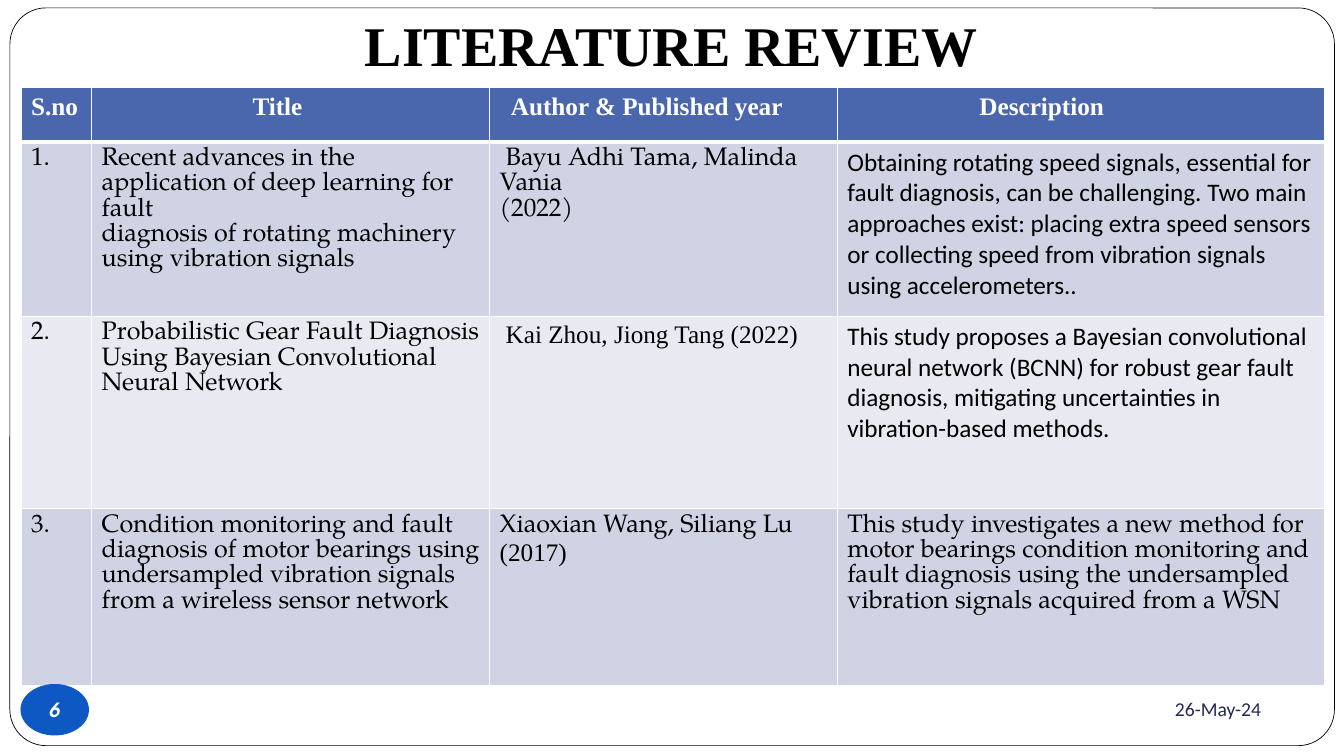
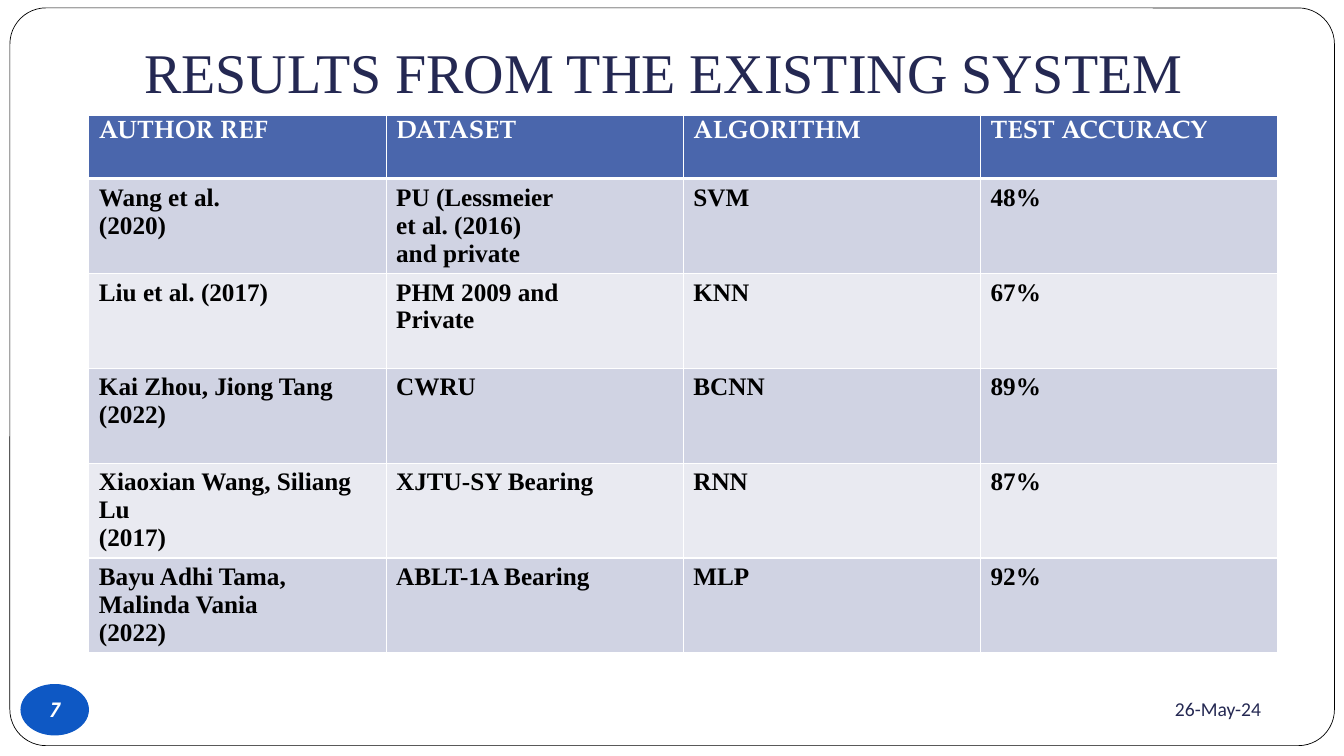
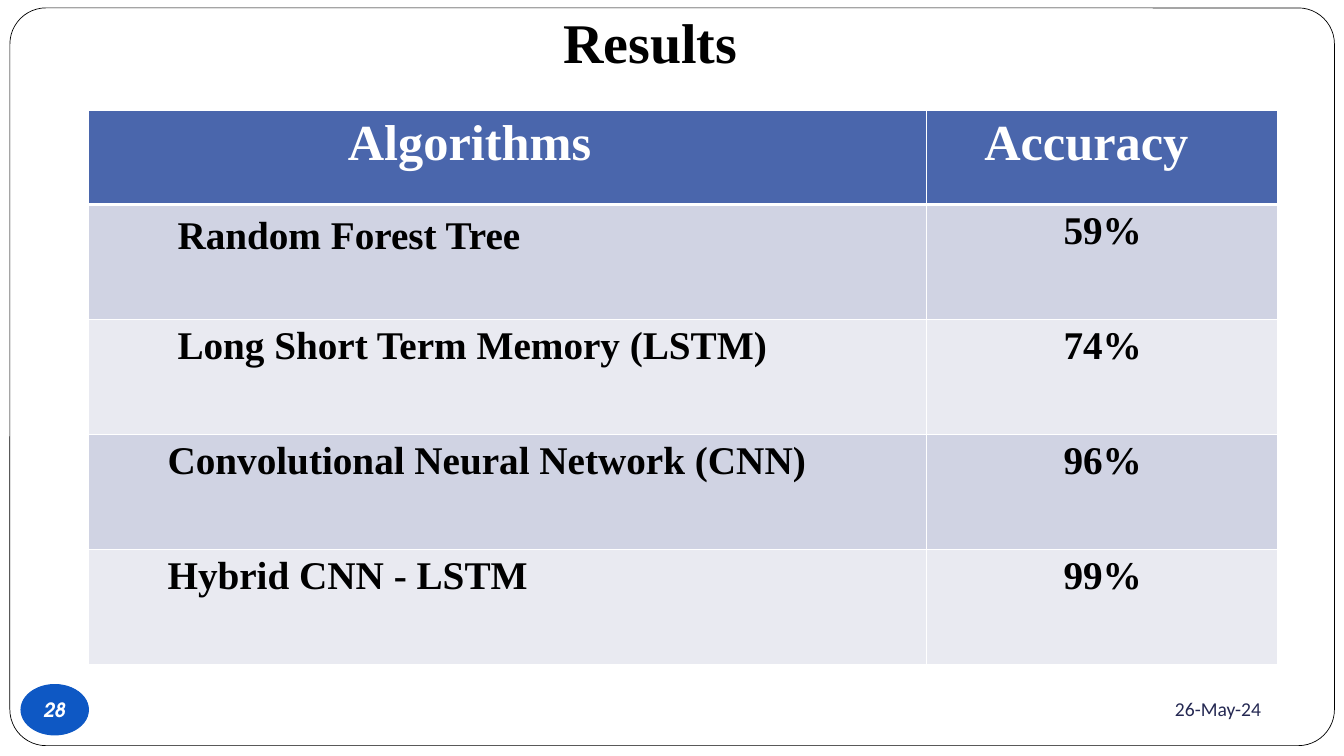
from dataclasses import dataclass

from lxml import etree
from pptx import Presentation
from pptx.dml.color import RGBColor
from pptx.enum.shapes import MSO_SHAPE
from pptx.enum.text import MSO_ANCHOR, MSO_AUTO_SIZE, PP_ALIGN
from pptx.oxml.ns import qn
from pptx.util import Cm, Pt

ROUNDED = MSO_SHAPE.ROUNDED_RECTANGLE
OVAL = MSO_SHAPE.OVAL
MIDDLE = MSO_ANCHOR.MIDDLE
BOTTOM = MSO_ANCHOR.BOTTOM
NO_AUTOFIT = MSO_AUTO_SIZE.NONE
LEFT, CENTER, RIGHT = PP_ALIGN.LEFT, PP_ALIGN.CENTER, PP_ALIGN.RIGHT

COLORS = {
    "white": "FFFFFF",
    "black": "000000",
    "navy": "242852",
    "header": "4A66AC",
    "band_dark": "D0D3E3",
    "band_light": "E9EAF1",
    "badge": "0E58C4",
}
SERIF = "Times New Roman"
PAGELLA = "TeX Gyre Pagella"
SANS = "Calibri"
BADGE_FONT = "TeX Gyre Adventor"
DATE = "26-May-24"
TITLE_ONLY = 5
THIN, THICK = Pt(1), Pt(3)


@dataclass
class Style:
    font: str
    size: float
    color: str = "black"
    bold: bool = False
    italic: bool = False


@dataclass
class Entry:
    text: str
    style: Style
    indent: float = 0
    last_line_font: str = ""
    top_margin: float = 0.13


@dataclass
class Title:
    text: str
    box: tuple[float, float, float, float]
    style: Style
    indent: float = 0
    bottom_margin: float = 0.25


@dataclass
class TableData:
    left: float
    top: float
    widths: list[float]
    heights: list[float]
    rows: list[list[Entry]]


@dataclass
class Page:
    number: str
    title: Title
    table: TableData


def rgb(name: str) -> RGBColor:
    return RGBColor.from_string(COLORS[name])


def format_paragraph(paragraph, style: Style, alignment=LEFT, indent: float = 0) -> None:
    paragraph.alignment = alignment
    if indent:
        properties = paragraph._p.get_or_add_pPr()
        properties.set("marL", "0")
        properties.set("indent", str(Cm(indent)))
    for run in paragraph.runs:
        run.font.name = style.font
        run.font.size = Pt(style.size)
        run.font.bold = style.bold
        run.font.italic = style.italic
        run.font.color.rgb = rgb(style.color)


def add_outlined_shape(slide, preset, box, fill: str, line: str, width: float):
    shape = slide.shapes.add_shape(preset, *map(Cm, box))
    shape.shadow.inherit = False
    shape.fill.solid()
    shape.fill.fore_color.rgb = rgb(fill)
    shape.line.color.rgb = rgb(line)
    shape.line.width = Pt(width)
    return shape


def move_frame_to_layout(slide, layout) -> None:
    frame = add_outlined_shape(slide, ROUNDED, (0.25, 0.2, 33.38, 18.59), "white", "black", 0.5)
    frame.adjustments[0] = 0.049
    layout.shapes.element.insert(2, frame.element)


def set_title(slide, title: Title) -> None:
    shape = slide.shapes.title
    shape.left, shape.top, shape.width, shape.height = map(Cm, title.box)
    text_frame = shape.text_frame
    text_frame.text = title.text
    text_frame.auto_size = NO_AUTOFIT
    text_frame.vertical_anchor = BOTTOM
    text_frame.margin_bottom = Cm(title.bottom_margin)
    format_paragraph(text_frame.paragraphs[0], title.style, LEFT, title.indent)


def set_borders(cell, top: int, bottom: int) -> None:
    properties = cell._tc.get_or_add_tcPr()
    widths = {"a:lnL": THIN, "a:lnR": THIN, "a:lnT": top, "a:lnB": bottom}
    for position, (tag, width) in enumerate(widths.items()):
        line = etree.Element(qn(tag), w=str(int(width)))
        fill = etree.SubElement(line, qn("a:solidFill"))
        etree.SubElement(fill, qn("a:srgbClr"), val=COLORS["white"])
        properties.insert(position, line)


def fill_cell(cell, entry: Entry, row: int) -> None:
    cell.fill.solid()
    band = "band_dark" if row % 2 else "band_light"
    cell.fill.fore_color.rgb = rgb(band if row else "header")
    set_borders(cell, THICK if row == 1 else THIN, THIN if row else THICK)
    cell.margin_top = Cm(entry.top_margin)
    cell.text_frame.text = entry.text
    paragraphs = cell.text_frame.paragraphs
    for index, paragraph in enumerate(paragraphs):
        format_paragraph(paragraph, entry.style, LEFT, 0 if index else entry.indent)
    if entry.last_line_font:
        for run in paragraphs[-1].runs:
            run.font.name = entry.last_line_font


def add_table(slide, data: TableData) -> None:
    table = slide.shapes.add_table(
        len(data.heights), len(data.widths), Cm(data.left), Cm(data.top),
        Cm(sum(data.widths)), Cm(sum(data.heights)),
    ).table
    for column, width in zip(table.columns, data.widths):
        column.width = Cm(width)
    for row, height in zip(table.rows, data.heights):
        row.height = Cm(height)
    for row_index, entries in enumerate(data.rows):
        for column_index, entry in enumerate(entries):
            fill_cell(table.cell(row_index, column_index), entry, row_index)


def add_footer(slide, number: str) -> None:
    date_box = slide.shapes.add_textbox(Cm(22.86), Cm(17.2), Cm(9.17), Cm(1.32))
    date_frame = date_box.text_frame
    date_frame.text = DATE
    date_frame.word_wrap = True
    date_frame.vertical_anchor = MIDDLE
    format_paragraph(date_frame.paragraphs[0], Style(SANS, 14, "navy"), RIGHT)

    badge = add_outlined_shape(slide, OVAL, (0.53, 17.25, 1.7, 1.27), "badge", "badge", 0.75)
    badge_frame = badge.text_frame
    badge_frame.text = number
    badge_frame.word_wrap = False
    badge_frame.vertical_anchor = MIDDLE
    badge_frame.margin_left = badge_frame.margin_right = 0
    badge_frame.margin_top = badge_frame.margin_bottom = 0
    format_paragraph(badge_frame.paragraphs[0], Style(BADGE_FONT, 14, "white", True, True), CENTER)


def literature_page() -> Page:
    header = Style(SERIF, 18, "white", True)
    pagella = Style(PAGELLA, 18)
    serif = Style(SERIF, 18)
    sans = Style(SANS, 18)
    rows = [
        [
            Entry("S.no", header),
            Entry("Title", header, 3.8),
            Entry("Author & Published year", header, 0.28),
            Entry("Description", header, 3.33),
        ],
        [
            Entry("1.", pagella),
            Entry(
                "Recent advances in the application of deep learning for fault\n"
                "diagnosis of rotating machinery using vibration signals", pagella,
            ),
            Entry("Bayu Adhi Tama, Malinda Vania\n(2022)", pagella, 0.15),
            Entry(
                "Obtaining rotating speed signals, essential for fault diagnosis, can be "
                "challenging. Two main approaches exist: placing extra speed sensors or "
                "collecting speed from vibration signals using accelerometers..", sans,
            ),
        ],
        [
            Entry("2.", pagella),
            Entry(
                "Probabilistic Gear Fault Diagnosis Using Bayesian Convolutional "
                "Neural Network", pagella,
            ),
            Entry("Kai Zhou, Jiong Tang (2022)", serif, 0.15),
            Entry(
                "This study proposes a Bayesian convolutional neural network (BCNN) for "
                "robust gear fault diagnosis, mitigating uncertainties in "
                "vibration-based methods.", sans,
            ),
        ],
        [
            Entry("3.", pagella),
            Entry(
                "Condition monitoring and fault diagnosis of motor bearings using "
                "undersampled vibration signals from a wireless sensor network", pagella,
            ),
            Entry("Xiaoxian Wang, Siliang Lu\n(2017)", pagella, last_line_font=SERIF),
            Entry(
                "This study investigates a new method for motor bearings condition "
                "monitoring and fault diagnosis using the undersampled vibration signals "
                "acquired from a WSN", pagella,
            ),
        ],
    ]
    title = Title(
        "LITERATURE REVIEW", (2.59, 0.69, 28.78, 3.25),
        Style(SERIF, 40, "black", True), 6.35, 1.98,
    )
    widths = [1.78, 10.03, 8.76, 12.27]
    return Page("6", title, TableData(0.53, 2.21, widths, [1.37, 4.39, 4.85, 4.45], rows))


def existing_system_page() -> Page:
    header = Style(PAGELLA, 18, "white", True)
    body = Style(SERIF, 18, "black", True)
    headings = ["AUTHOR REF", "DATASET", "ALGORITHM", "TEST ACCURACY"]
    records = [
        ("Wang et al.\n(2020)", "PU (Lessmeier\net al. (2016)\nand private", "SVM", "48%"),
        ("Liu et al. (2017)", "PHM 2009 and\nPrivate", "KNN", "67%"),
        ("Kai Zhou, Jiong Tang (2022)", "CWRU", "BCNN", "89%"),
        ("Xiaoxian Wang, Siliang Lu\n(2017)", "XJTU-SY Bearing", "RNN", "87%"),
        ("Bayu Adhi Tama, Malinda Vania\n(2022)", "ABLT-1A Bearing", "MLP", "92%"),
    ]
    rows = [[Entry(text, header) for text in headings]]
    rows += [[Entry(text, body) for text in record] for record in records]
    title = Title(
        "RESULTS FROM THE EXISTING SYSTEM", (3.38, 0.76, 28.78, 2.13), Style(SERIF, 40, "navy"),
    )
    heights = [1.6] + [2.39] * len(records)
    return Page("7", title, TableData(2.24, 2.9, [7.49] * len(headings), heights, rows))


def results_page() -> Page:
    header = Style(SERIF, 36, "white", True)
    body = Style(SERIF, 28, "black", True)
    records = [
        (Entry("Random Forest Tree", body, 1.98, top_margin=0.26), "59%"),
        (Entry("Long Short Term Memory (LSTM)", body, 1.98), "74%"),
        (Entry("Convolutional Neural Network (CNN)", body, 1.73), "96%"),
        (Entry("Hybrid CNN - LSTM", body, 1.73), "99%"),
    ]
    rows = [[Entry("Algorithms", header, 6.27), Entry("Accuracy", header, 1.2)]]
    rows += [[algorithm, Entry(accuracy, body, 3.2)] for algorithm, accuracy in records]
    title = Title(
        "Results", (3.38, 0.2, 28.78, 1.93), Style(SERIF, 40, "black", True), 10.56,
    )
    heights = [2.36] + [2.9] * len(records)
    return Page("28", title, TableData(2.24, 2.79, [21.11, 8.84], heights, rows))


def main() -> None:
    presentation = Presentation()
    presentation.slide_width = Cm(33.87)
    presentation.slide_height = Cm(19.05)
    layout = presentation.slide_layouts[TITLE_ONLY]
    for index, page in enumerate([literature_page(), existing_system_page(), results_page()]):
        slide = presentation.slides.add_slide(layout)
        if index == 0:
            move_frame_to_layout(slide, layout)
        set_title(slide, page.title)
        add_table(slide, page.table)
        add_footer(slide, page.number)
    presentation.save("out.pptx")


if __name__ == "__main__":
    main()
